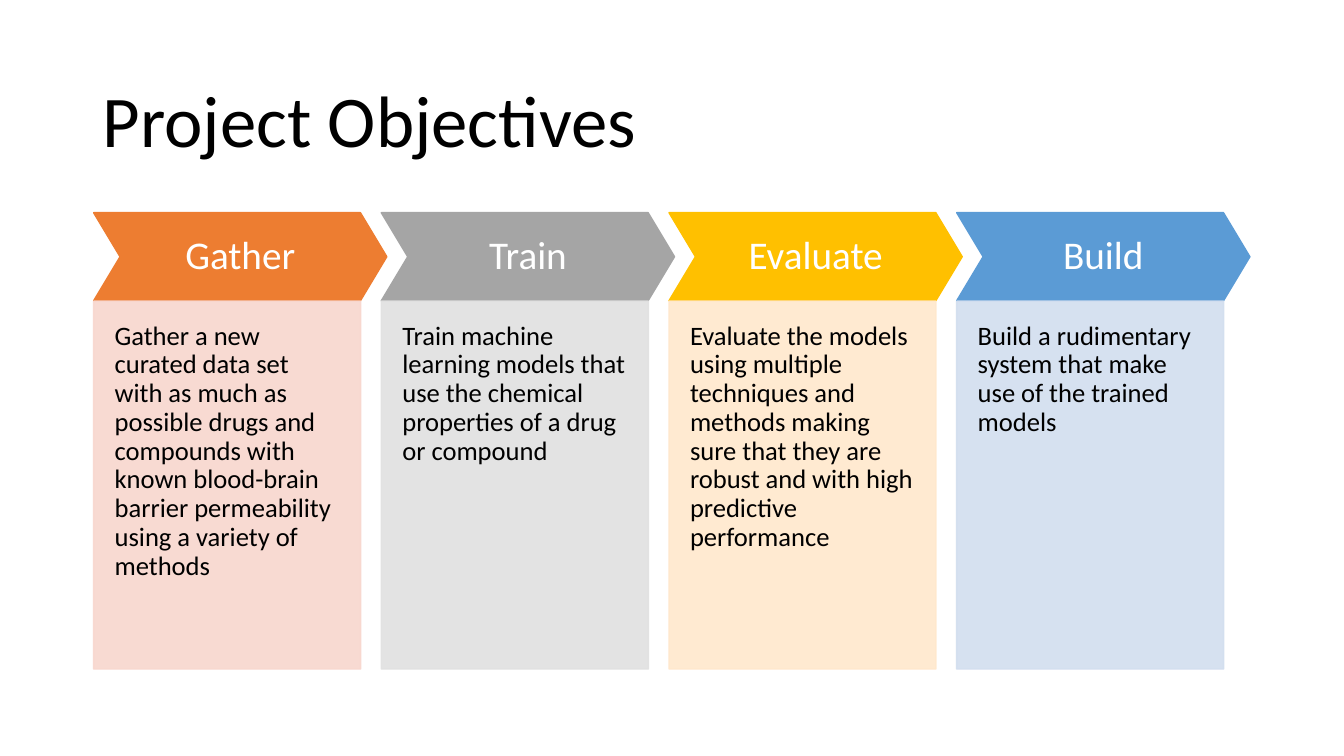
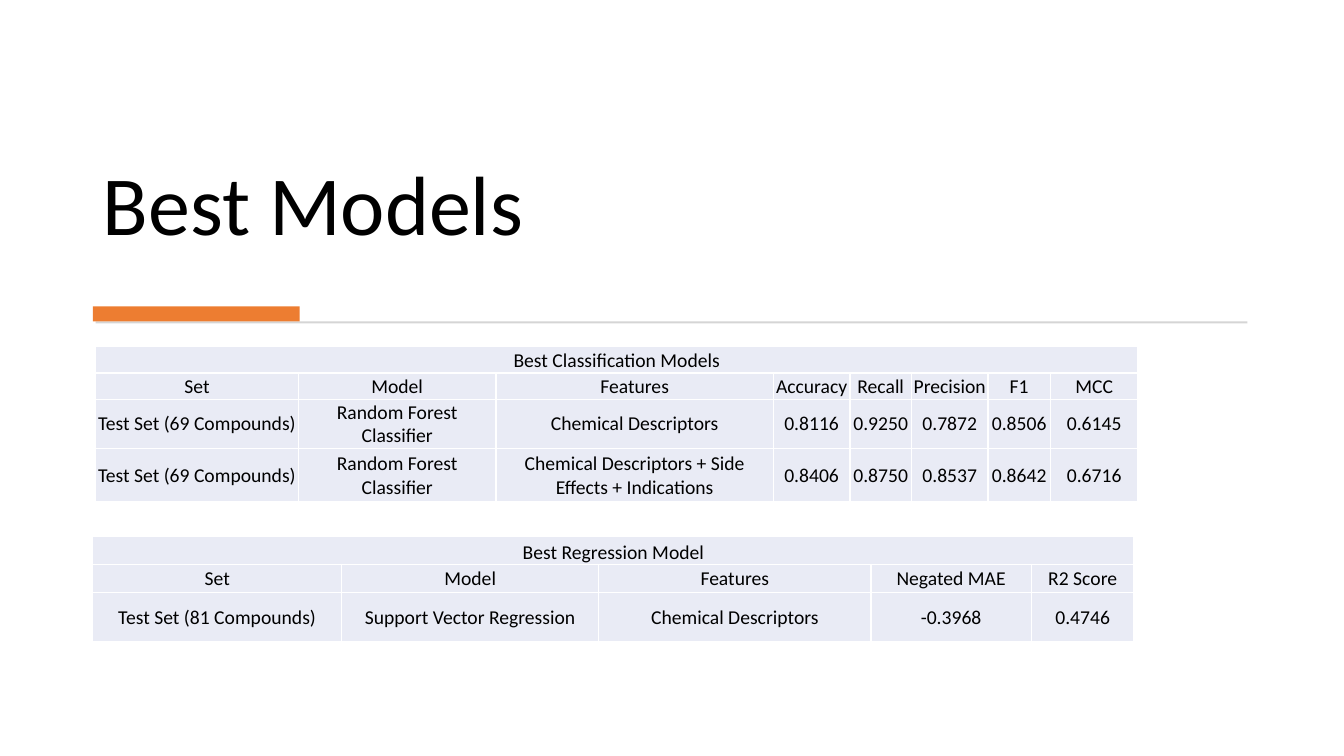
"""Builds two project slides: the objectives in four steps and the best models in two tables."""
from dataclasses import dataclass

from lxml import etree
from pptx import Presentation
from pptx import util as u
from pptx.dml import color as c
from pptx.enum import shapes as s, text as t
from pptx.oxml import ns

FONT = "Calibri"
BLACK = c.RGBColor(0x00, 0x00, 0x00)
WHITE = c.RGBColor(0xFF, 0xFF, 0xFF)
ORANGE = c.RGBColor(0xED, 0x7D, 0x31)
GRAY = c.RGBColor(0xA5, 0xA5, 0xA5)
GOLD = c.RGBColor(0xFF, 0xC0, 0x00)
BLUE = c.RGBColor(0x5B, 0x9B, 0xD5)
PALE_ORANGE = c.RGBColor(0xF8, 0xD7, 0xCE)
PALE_GRAY = c.RGBColor(0xE1, 0xE1, 0xE1)
PALE_GOLD = c.RGBColor(0xFF, 0xE8, 0xCC)
PALE_BLUE = c.RGBColor(0xD2, 0xDE, 0xEF)
RULE_GRAY = c.RGBColor(0xD5, 0xD5, 0xD5)
CELL_FILL = c.RGBColor(0xE9, 0xEB, 0xF5)

LEFT = 2.34
STEP_LEFT, STEP_PITCH = 2.36, 7.25
CHEVRON_TOP, CHEVRON_WIDTH, CHEVRON_HEIGHT = 5.36, 7.39, 2.22
PANEL_TOP, PANEL_WIDTH, PANEL_HEIGHT = 7.59, 6.73, 9.27


@dataclass(frozen=True)
class Box:
    left: float
    top: float
    width: float
    height: float

    def lengths(self) -> list[u.Length]:
        return [u.Cm(value) for value in (self.left, self.top, self.width, self.height)]


@dataclass(frozen=True)
class Step:
    heading: str
    detail: str
    color: c.RGBColor
    pale: c.RGBColor


@dataclass(frozen=True)
class ModelTable:
    title: str
    left: float
    top: float
    widths: list[float]
    heights: list[float]
    rows: list[list[str]]


STEPS = [
    Step("Gather", "Gather a new curated data set with as much as possible drugs and compounds "
         "with known blood-brain barrier permeability using a variety of methods",
         ORANGE, PALE_ORANGE),
    Step("Train", "Train machine learning models that use the chemical properties of a drug "
         "or compound", GRAY, PALE_GRAY),
    Step("Evaluate", "Evaluate the models using multiple techniques and methods making sure "
         "that they are robust and with high predictive performance", GOLD, PALE_GOLD),
    Step("Build", "Build a rudimentary system that make use of the trained models",
         BLUE, PALE_BLUE),
]

TABLES = [
    ModelTable(
        "Best Classification Models", 2.41, 8.74,
        [5.11, 4.98, 6.99, 1.93, 1.55, 1.93, 1.57, 2.21],
        [0.66, 0.66, 1.24, 1.35],
        [
            ["Set", "Model", "Features", "Accuracy", "Recall", "Precision", "F1", "MCC"],
            ["Test Set (69 Compounds)", "Random Forest Classifier", "Chemical Descriptors",
             "0.8116", "0.9250", "0.7872", "0.8506", "0.6145"],
            ["Test Set (69 Compounds)", "Random Forest Classifier",
             "Chemical Descriptors + Side Effects + Indications",
             "0.8406", "0.8750", "0.8537", "0.8642", "0.6716"],
        ],
    ),
    ModelTable(
        "Best Regression Model", LEFT, 13.51,
        [6.27, 6.48, 6.86, 4.04, 2.59],
        [0.71, 0.71, 1.24],
        [
            ["Set", "Model", "Features", "Negated MAE", "R2 Score"],
            ["Test Set (81 Compounds)", "Support Vector Regression", "Chemical Descriptors",
             "-0.3968", "0.4746"],
        ],
    ),
]


def write(frame, words: str, size: float, color: c.RGBColor = BLACK,
          align=t.PP_ALIGN.LEFT, spacing: float = 0.9) -> None:
    frame.word_wrap = True
    frame.text = words
    para = frame.paragraphs[0]
    para.alignment = align
    para.line_spacing = spacing
    for span in para.runs:
        span.font.name = FONT
        span.font.size = u.Pt(size)
        span.font.color.rgb = color


def set_margins(target, left: float, top: float, right: float, bottom: float) -> None:
    target.margin_left, target.margin_top = u.Cm(left), u.Cm(top)
    target.margin_right, target.margin_bottom = u.Cm(right), u.Cm(bottom)


def add_title(page, words: str, box: Box, size: float, anchor) -> None:
    frame = page.shapes.add_textbox(*box.lengths()).text_frame
    write(frame, words, size)
    frame.vertical_anchor = anchor


def add_block(page, kind, box: Box, fill: c.RGBColor, outlined: bool = False):
    block = page.shapes.add_shape(kind, *box.lengths())
    block.shadow.inherit = False
    block.fill.solid()
    block.fill.fore_color.rgb = fill
    if outlined:
        block.line.color.rgb = fill
        block.line.width = u.Pt(1)
    else:
        block.line.fill.background()
    return block


def set_opacity(block, percent: int) -> None:
    for tint in block.element.spPr.iter(ns.qn("a:srgbClr")):
        etree.SubElement(tint, ns.qn("a:alpha"), val=str(percent * 1000))


def add_step(page, step: Step, left: float) -> None:
    chevron = add_block(page, s.MSO_SHAPE.CHEVRON,
                        Box(left, CHEVRON_TOP, CHEVRON_WIDTH, CHEVRON_HEIGHT),
                        step.color, outlined=True)
    chevron.adjustments[0] = 0.3
    write(chevron.text_frame, step.heading, 28, WHITE, t.PP_ALIGN.CENTER)
    set_margins(chevron.text_frame, 0.28, 0.28, 0.28, 0.28)
    chevron.text_frame.vertical_anchor = t.MSO_ANCHOR.MIDDLE

    panel = add_block(page, s.MSO_SHAPE.RECTANGLE,
                      Box(left, PANEL_TOP, PANEL_WIDTH, PANEL_HEIGHT),
                      step.pale, outlined=True)
    set_opacity(panel, 90)
    write(panel.text_frame, step.detail, 19)
    set_margins(panel.text_frame, 0.53, 0.53, 0.53, 1.07)
    panel.text_frame.vertical_anchor = t.MSO_ANCHOR.TOP


def style_cell(cell, words: str, anchor) -> None:
    write(cell.text_frame, words, 14, align=t.PP_ALIGN.CENTER, spacing=1.0)
    set_margins(cell, 0.02, 0.02, 0.02, 0)
    cell.vertical_anchor = anchor
    properties = cell._tc.get_or_add_tcPr()
    for side in ("lnL", "lnR", "lnT", "lnB"):
        line = etree.SubElement(properties, ns.qn(f"a:{side}"), w=str(u.Pt(1)))
        fill = etree.SubElement(line, ns.qn("a:solidFill"))
        etree.SubElement(fill, ns.qn("a:srgbClr"), val=str(WHITE))
    cell.fill.solid()
    cell.fill.fore_color.rgb = CELL_FILL


def add_model_table(page, model: ModelTable) -> None:
    box = Box(model.left, model.top, sum(model.widths), sum(model.heights))
    table = page.shapes.add_table(len(model.heights), len(model.widths), *box.lengths()).table
    table.first_row = table.horz_banding = False
    for column, width in zip(table.columns, model.widths):
        column.width = u.Cm(width)
    for row, height in zip(table.rows, model.heights):
        row.height = u.Cm(height)
    heading = [model.title] + [""] * (len(model.widths) - 1)
    for row_index, words_in_row in enumerate([heading, *model.rows]):
        anchor = t.MSO_ANCHOR.MIDDLE if row_index else t.MSO_ANCHOR.BOTTOM
        for column_index, words in enumerate(words_in_row):
            style_cell(table.cell(row_index, column_index), words, anchor)
    table.cell(0, 0).merge(table.cell(0, len(model.widths) - 1))


def build_objectives(page) -> None:
    add_title(page, "Project Objectives", Box(LEFT, 1.55, 29.2, 3.15), 52, t.MSO_ANCHOR.MIDDLE)
    for index, step in enumerate(STEPS):
        add_step(page, step, STEP_LEFT + index * STEP_PITCH)


def build_best_models(page) -> None:
    add_title(page, "Best Models", Box(LEFT, 1.19, 29.2, 5.33), 60, t.MSO_ANCHOR.BOTTOM)
    add_block(page, s.MSO_SHAPE.RECTANGLE, Box(2.41, 8.1, 29.03, 0.05), RULE_GRAY)
    add_block(page, s.MSO_SHAPE.RECTANGLE, Box(LEFT, 7.72, 5.21, 0.38), ORANGE)
    for model in TABLES:
        add_model_table(page, model)


def main() -> None:
    deck = Presentation()
    deck.slide_width, deck.slide_height = u.Cm(33.87), u.Cm(19.05)
    for build in (build_objectives, build_best_models):
        build(deck.slides.add_slide(deck.slide_layouts[6]))
    deck.save("out.pptx")


if __name__ == "__main__":
    main()
